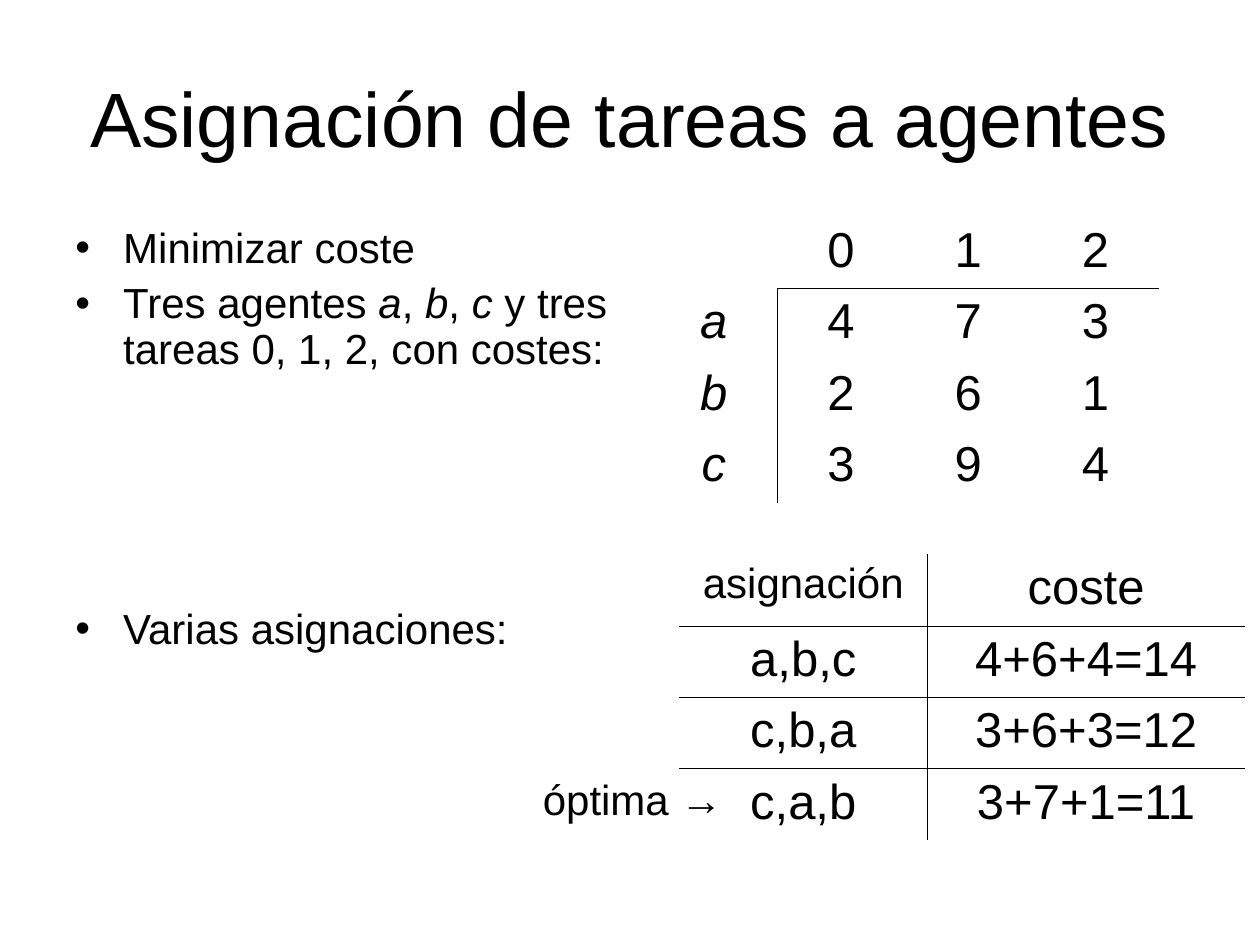
from pptx import Presentation
from pptx import util as u
from pptx.dml.color import RGBColor
from pptx.enum import text
from pptx.oxml import parse_xml
from pptx.oxml.ns import nsdecls

BLACK = RGBColor(0, 0, 0)
FONT = "Arial"
COSTS = ["", "0", "1", "2"], ["a", "4", "7", "3"], ["b", "2", "6", "1"], ["c", "3", "9", "4"]
PLANS = (["asignación", "coste"], ["a,b,c", "4+6+4=14"],
         ["c,b,a", "3+6+3=12"], ["c,a,b", "3+7+1=11"])
POINTS = [
    (0, ["Minimizar coste"]),
    (6, ["Tres agentes ", "a", ", ", "b", ", ", "c", " y tres tareas 0, 1, 2, con costes:"]),
    (134, ["Varias asignaciones:"]),
]


def style(font, size, slant=False):
    """Set the face, size, colour and slant of a font."""
    font.name, font.size, font.italic = FONT, u.Pt(size), slant
    font.color.rgb = BLACK


def place(shape, box):
    """Move a shape to a box in inches."""
    shape.left, shape.top, shape.width, shape.height = map(u.Inches, box)


def add_title(slide, box):
    """Fill the title placeholder."""
    title = slide.shapes.title
    place(title, box)
    frame = title.text_frame
    frame.text = "Asignación de tareas a agentes"
    frame.vertical_anchor = text.MSO_ANCHOR.MIDDLE
    para = frame.paragraphs[0]
    para.alignment = text.PP_ALIGN.CENTER
    style(para.runs[0].font, 44)


def add_points(slide, box):
    """Write the bulleted points, with agent names in italics."""
    frame = slide.shapes.add_textbox(*map(u.Inches, box)).text_frame
    frame.word_wrap = True
    for i, (gap, parts) in enumerate(POINTS):
        para = frame.add_paragraph() if i else frame.paragraphs[0]
        para.line_spacing, para.space_before = 0.9, u.Pt(gap)
        props = para._p.get_or_add_pPr()
        props.set("marL", str(u.Inches(0.38)))
        props.set("indent", str(-u.Inches(0.38)))
        props.append(parse_xml(f'<a:buFont {nsdecls("a")} typeface="{FONT}"/>'))
        props.append(parse_xml(f'<a:buChar {nsdecls("a")} char="•"/>'))
        for part in parts:
            run = para.add_run()
            run.text = part
            style(run.font, 24, part in ("a", "b", "c"))


def rule(cell, sides):
    """Draw thin lines on the named sides of a cell and clear the rest."""
    props = cell._tc.get_or_add_tcPr()
    for side in "LRTB":
        fill = f'<a:solidFill><a:srgbClr val="{BLACK}"/></a:solidFill>' if side in sides else "<a:noFill/>"
        props.append(parse_xml(f'<a:ln{side} {nsdecls("a")} w="{u.Pt(0.45)}">{fill}</a:ln{side}>'))
    cell.fill.background()


def add_grid(slide, box, widths, rows, lines):
    """Place a table ruled after its first column and under the rows in lines."""
    table = slide.shapes.add_table(len(rows), len(widths), *map(u.Inches, box)).table
    table.first_row = table.horz_banding = False
    for col, width in zip(table.columns, widths):
        col.width = u.Inches(width)
    for r, row in enumerate(rows):
        for c, word in enumerate(row):
            cell = table.cell(r, c)
            corner = not rows[0][c]
            sides = {"L": c == 1 and rows[r][0], "R": c == 0 and word,
                     "T": r - 1 in lines and not corner, "B": r in lines and not corner}
            rule(cell, [side for side, shown in sides.items() if shown])
            cell.text = word
            para = cell.text_frame.paragraphs[0]
            para.alignment = text.PP_ALIGN.CENTER
            style(para.font, 28)
            for run in para.runs:
                style(run.font, 24 if word == "asignación" else 28, word in ("a", "b", "c"))


def add_mark(slide, box):
    """Label the best assignment."""
    frame = slide.shapes.add_textbox(*map(u.Inches, box)).text_frame
    frame.word_wrap = True
    frame.text = "óptima →"
    style(frame.paragraphs[0].runs[0].font, 24)


def main():
    """Build and save the slide."""
    deck = Presentation()
    deck.slide_width, deck.slide_height = u.Inches(10), u.Inches(7.5)
    slide = deck.slides.add_slide(deck.slide_layouts[5])
    add_title(slide, (0.5, 0.3, 9, 1.25))
    add_points(slide, (0.5, 1.75, 4.74, 5.75))
    add_grid(slide, (5.16, 1.72, 4.02, 2.27), [1.01] * 4, COSTS, [0])
    add_grid(slide, (5.39, 4.4, 4.49, 2.27), [1.97, 2.52], PLANS, [0, 1, 2])
    add_mark(slide, (4.21, 6.09, 1.81, 0.5))
    deck.save("out.pptx")


if __name__ == "__main__":
    main()
